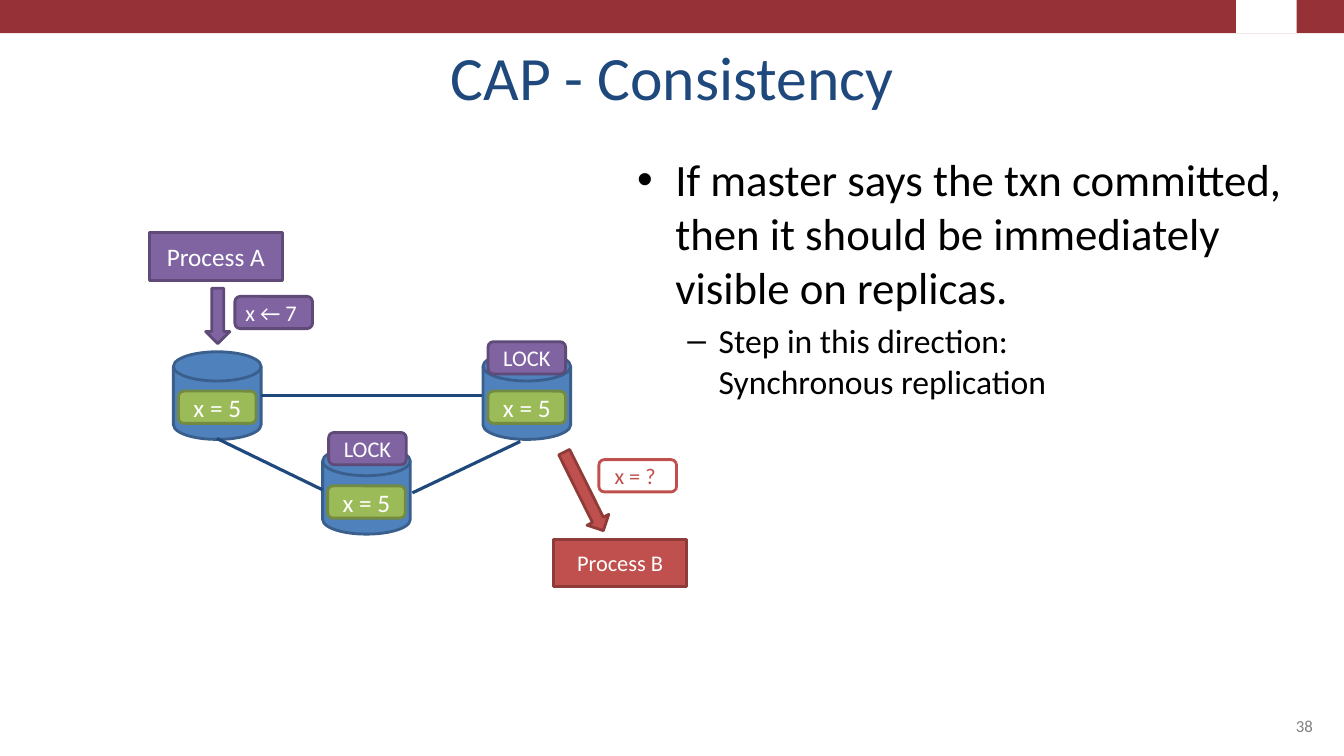
from lxml import etree
from pptx import Presentation
from pptx.dml.color import RGBColor
from pptx.enum.shapes import MSO_CONNECTOR, MSO_SHAPE
from pptx.enum.text import MSO_ANCHOR, PP_ALIGN
from pptx.oxml.ns import qn
from pptx.util import Inches, Pt

RECTANGLE = MSO_SHAPE.RECTANGLE
ROUNDED = MSO_SHAPE.ROUNDED_RECTANGLE
CYLINDER = MSO_SHAPE.FLOWCHART_MAGNETIC_DISK
DOWN_ARROW = MSO_SHAPE.DOWN_ARROW
STRAIGHT = MSO_CONNECTOR.STRAIGHT
LEFT, CENTER, RIGHT = PP_ALIGN.LEFT, PP_ALIGN.CENTER, PP_ALIGN.RIGHT
TOP, MIDDLE, BOTTOM = MSO_ANCHOR.TOP, MSO_ANCHOR.MIDDLE, MSO_ANCHOR.BOTTOM

COLORS = {
    "white": "FFFFFF", "black": "000000", "gray": "808080",
    "band": "963237", "navy": "1F497D",
    "blue": "4F81BD", "blue_edge": "3A5F8C",
    "green": "9BBB59", "green_edge": "738A42",
    "purple": "8064A2", "purple_edge": "5F4A78",
    "red": "C0504D", "red_edge": "8E3B39",
}


def color(name):
    return RGBColor.from_string(COLORS[name])


def write(paragraph, text, size=18, ink="white", align=CENTER, font="Calibri"):
    paragraph.text = text
    paragraph.alignment = align
    for run in paragraph.runs:
        run.font.name = font
        run.font.size = Pt(size)
        run.font.color.rgb = color(ink)


class SlideBuilder:
    def __init__(self, presentation, edge_width=2, link_width=2.25):
        self.edge_width = edge_width
        self.link_width = link_width
        self.slide = presentation.slides.add_slide(presentation.slide_layouts[5])

    def title(self, text, left, top, width, height):
        title = self.slide.shapes.title
        title.left, title.top = Inches(left), Inches(top)
        title.width, title.height = Inches(width), Inches(height)
        title.text_frame.vertical_anchor = BOTTOM
        write(title.text_frame.paragraphs[0], text, size=44, ink="navy")

    def shape(self, kind, left, top, width, height, fill, edge=None,
              text="", rotation=0, **text_format):
        shape = self.slide.shapes.add_shape(
            kind, Inches(left), Inches(top), Inches(width), Inches(height))
        shape.shadow.inherit = False
        shape.rotation = rotation
        shape.fill.solid()
        shape.fill.fore_color.rgb = color(fill)
        if edge:
            shape.line.color.rgb = color(edge)
            shape.line.width = Pt(self.edge_width)
        else:
            shape.line.fill.background()
        if text:
            frame = shape.text_frame
            frame.margin_left = frame.margin_right = 0
            frame.margin_top = frame.margin_bottom = 0
            frame.vertical_anchor = MIDDLE
            write(frame.paragraphs[0], text, **text_format)

    def tag(self, text, left, top, fill="purple", edge="purple_edge", **text_format):
        text_format.setdefault("size", 16)
        self.shape(ROUNDED, left, top, 0.77, 0.32, fill, edge, text, **text_format)

    def process(self, text, left, top, hue, size):
        self.shape(RECTANGLE, left, top, 1.32, 0.47, hue, f"{hue}_edge", text, size=size)

    def database(self, left, top):
        self.shape(CYLINDER, left, top, 0.87, 0.87, "blue", "blue_edge")
        self.tag("x = 5", left + 0.05, top + 0.39, "green", "green_edge", size=18)

    def link(self, start, end):
        connector = self.slide.shapes.add_connector(
            STRAIGHT, *(Inches(value) for value in (*start, *end)))
        connector.line.color.rgb = color("navy")
        connector.line.width = Pt(self.link_width)
        etree.SubElement(connector._element.spPr, qn("a:effectLst"))

    def text_box(self, left, top, width, height, anchor=TOP):
        box = self.slide.shapes.add_textbox(
            Inches(left), Inches(top), Inches(width), Inches(height))
        box.text_frame.word_wrap = True
        box.text_frame.vertical_anchor = anchor
        return box.text_frame

    def bullet(self, paragraph, text, mark, margin, hanging, size, level=0, before=0):
        paragraph.level = level
        paragraph.space_before = Pt(before)
        properties = paragraph._p.get_or_add_pPr()
        properties.set("marL", str(Inches(margin)))
        properties.set("indent", str(-Inches(hanging)))
        etree.SubElement(properties, qn("a:buFont"), typeface="Arial")
        etree.SubElement(properties, qn("a:buChar"), char=mark)
        write(paragraph, text, size=size, ink="black", align=LEFT)


def main():
    presentation = Presentation()
    presentation.slide_width = Inches(13.33)
    presentation.slide_height = Inches(7.5)
    builder = SlideBuilder(presentation)

    builder.shape(RECTANGLE, 0, 0, 13.33, 0.33, "band")
    builder.shape(RECTANGLE, 12.26, 0, 0.6, 0.33, "white")
    builder.title("CAP - Consistency", 0.67, 0.3, 12, 0.87)

    for left, top in ((1.72, 3.49), (3.2, 4.43), (4.79, 3.49)):
        builder.database(left, top)

    builder.process("Process A", 1.48, 2.31, "purple", 18)
    builder.shape(DOWN_ARROW, 2.04, 2.86, 0.24, 0.55, "purple", "purple_edge")
    builder.tag("x ← 7 ", 2.33, 2.94)

    for start, end in (((2.15, 4.35), (3.2, 4.86)),
                       ((4.09, 4.89), (5.16, 4.38)),
                       ((2.59, 3.92), (4.78, 3.92))):
        builder.link(start, end)

    number = builder.text_box(9.56, 6.83, 3.56, 0.52, BOTTOM)
    write(number.paragraphs[0], "38", size=12, ink="gray", align=RIGHT)

    body = builder.text_box(6.22, 1.46, 6.82, 5.37)
    builder.bullet(
        body.paragraphs[0],
        "If master says the txn committed, then it should be immediately visible on replicas.",
        "•", 0.38, 0.38, 32)
    builder.bullet(
        body.add_paragraph(), "Step in this direction: \vSynchronous replication",
        "–", 0.81, 0.31, 24, level=1, before=4.8)

    builder.process("Process B", 5.49, 5.35, "red", 16)
    builder.shape(DOWN_ARROW, 5.67, 4.44, 0.24, 0.87, "red", "red_edge", rotation=333.5)
    builder.tag("x = ? ", 5.94, 4.56, "white", "red", ink="red")

    for left, top in ((4.84, 3.39), (3.26, 4.29)):
        builder.tag("LOCK", left, top)

    presentation.save("out.pptx")


if __name__ == "__main__":
    main()
